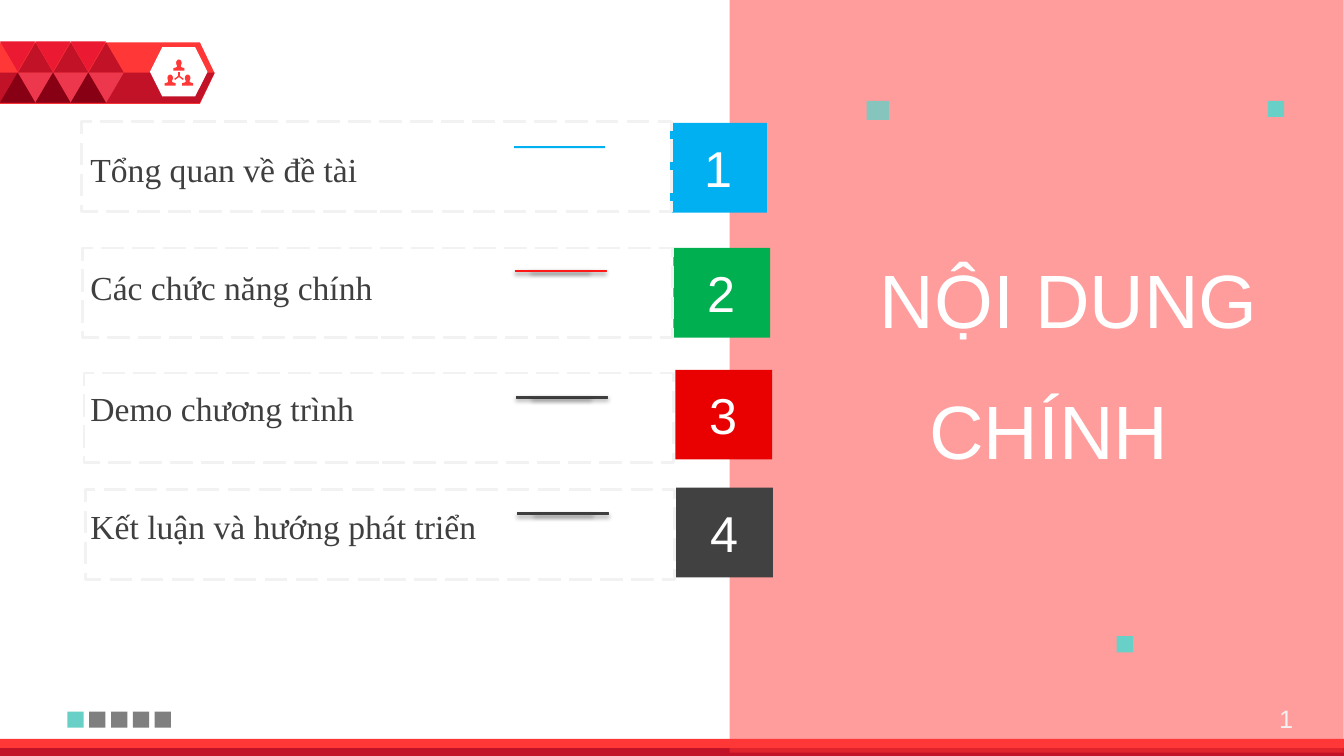
import lxml.etree
import pptx
import pptx.dml.color
import pptx.enum.dml
import pptx.enum.shapes
import pptx.enum.text
import pptx.oxml.ns
import pptx.util

Cm, Pt = pptx.util.Cm, pptx.util.Pt
qn = pptx.oxml.ns.qn
Kind = pptx.enum.shapes.MSO_SHAPE
Align = pptx.enum.text.PP_ALIGN
Anchor = pptx.enum.text.MSO_ANCHOR

RED, DARK_RED, TEAL, WHITE = "FF3737", "C21227", "68D0C6", "FFFFFF"
WIDTH, HEIGHT = 33.87, 19.05

# number, label, tile colour, rule colour, tile left, tile top, frame top, label top, rule middle
ROWS = [
    ("1", "Tổng quan về đề tài", "00B0F0", "00B0F0", 16.89, 3.1, 3.07, 3.63, 3.71),
    ("2", "Các chức năng chính", "00B050", "FF1818", 16.97, 6.25, 6.25, 6.6, 6.83),
    ("3", "Demo chương trình", "E90000", "3F3F3F", 17.02, 9.32, 9.4, 9.65, 10.01),
    ("4", "Kết luận và hướng phát triển", "414141", "3F3F3F", 17.04, 12.29, 12.34, 12.62, 12.95),
]


def colour(code):
    return pptx.dml.color.RGBColor.from_string(code)


def paint(shape, code, opacity=100):
    """Flat fill without outline or shadow."""
    shape.shadow.inherit = False
    shape.line.fill.background()
    shape.fill.solid()
    shape.fill.fore_color.rgb = colour(code)
    if opacity < 100:
        tint = shape.element.spPr.find(".//" + qn("a:srgbClr"))
        lxml.etree.SubElement(tint, qn("a:alpha"), val=str(opacity * 1000))
    return shape


def add_block(page, left, top, width, height, code, kind=Kind.RECTANGLE, opacity=100):
    shape = page.shapes.add_shape(kind, Cm(left), Cm(top), Cm(width), Cm(height))
    return paint(shape, code, opacity)


def add_polygon(page, points, code):
    corners = [(Cm(x), Cm(y)) for x, y in points]
    builder = page.shapes.build_freeform(*corners[0])
    builder.add_line_segments(corners[1:], close=True)
    return paint(builder.convert_to_shape(), code)


def format_span(span, size, font, code):
    span.font.size = Pt(size)
    span.font.name = font
    span.font.color.rgb = colour(code)


def add_text(page, text, left, top, width, height, size, font, code):
    box = page.shapes.add_textbox(Cm(left), Cm(top), Cm(width), Cm(height))
    box.text_frame.word_wrap = True
    box.text_frame.text = text
    format_span(box.text_frame.paragraphs[0].runs[0], size, font, code)


def add_slide_number(page):
    box = page.shapes.add_textbox(Cm(31.34), Cm(17.6), Cm(1.5), Cm(1.02))
    box.text_frame.word_wrap = True
    para = box.text_frame.paragraphs[0]
    para.text = "1"
    format_span(para.runs[0], 18, "Arial", "F2F2F2")
    para.alignment = Align.RIGHT
    field = para.runs[0]._r
    field.tag = qn("a:fld")
    field.set("id", "{B6F15528-21DE-4FAA-801E-634DDDAF4B2B}")
    field.set("type", "slidenum")


def add_person(page, middle, top):
    add_block(page, middle - 0.07, top, 0.14, 0.17, RED, Kind.OVAL)
    outline = [(-0.05, 0.13), (0.05, 0.13), (0.05, 0.19), (0.14, 0.22),
               (0.14, 0.28), (-0.14, 0.28), (-0.14, 0.22), (-0.05, 0.19)]
    add_polygon(page, [(middle + x, top + y) for x, y in outline], RED)


def add_link(page, x1, y1, x2, y2):
    link = page.shapes.add_connector(
        pptx.enum.shapes.MSO_CONNECTOR.STRAIGHT, Cm(x1), Cm(y1), Cm(x2), Cm(y2))
    link.line.width = Pt(1)
    link.line.color.rgb = colour(RED)
    lxml.etree.SubElement(link.element.spPr, qn("a:effectLst"))


def add_banner(page):
    plate = add_block(page, 0, 1.07, 5.41, 1.55, RED, Kind.PENTAGON)
    plate.adjustments[0] = 0.24
    add_polygon(page, [(0, 1.83), (5.41, 1.83), (5.03, 2.6), (0, 2.6)], DARK_RED)
    add_block(page, 3.78, 1.19, 1.45, 1.24, WHITE, Kind.HEXAGON)
    for middle, top in [(4.51, 1.5), (4.29, 1.88), (4.73, 1.88)]:
        add_person(page, middle, top)
    for x, y in [(4.51, 1.81), (4.4, 2), (4.62, 2)]:
        add_link(page, 4.51, 1.92, x, y)
    # offset, top, colour, rotation
    triangles = [(0, 1.04, "EB1932", 180), (0.45, 1.07, DARK_RED, 0),
                 (0.45, 1.83, "ED374D", 180), (0, 1.83, "880014", 0)]
    for column in range(3):
        for offset, top, code, rotation in triangles:
            triangle = add_block(page, offset + 0.89 * column, top, 0.89, 0.76,
                                 code, Kind.ISOSCELES_TRIANGLE)
            triangle.rotation = rotation


def place_title(page, panel):
    """Two staggered lines, brought in front of the panel."""
    title = page.shapes.title
    panel.element.addnext(title.element)
    title.left, title.top, title.width, title.height = Cm(21.92), Cm(6.25), Cm(10.4), Cm(5.77)
    frame = title.text_frame
    frame.text = "NỘI DUNG\nCHÍNH"
    frame.word_wrap = True
    frame.auto_size = pptx.enum.text.MSO_AUTO_SIZE.NONE
    frame.vertical_anchor = Anchor.TOP
    for para, indent, gap in zip(frame.paragraphs, (0, 1.24), (0, 28.6)):
        para.alignment = Align.LEFT
        para.line_spacing = 1.0
        para.space_before = Pt(gap)
        para._p.get_or_add_pPr().set("marL", str(Cm(indent)))
        format_span(para.runs[0], 54, "Arial", WHITE)


def add_rule(page, middle_x, middle_y, code, raised):
    """A long thin bar with a shorter one on it; raised bars have an outline and a shadow."""
    for length, thickness in [(2.29, 0.05), (1.47, 0.03)]:
        bar = add_block(page, middle_x - length / 2, middle_y - thickness / 2,
                        length, thickness, code)
        if raised:
            bar.line.color.rgb = colour(code)
            bar.line.width = Pt(0.75)
            effects = bar.element.spPr.find(qn("a:effectLst"))
            shadow = lxml.etree.SubElement(
                effects, qn("a:outerShdw"), blurRad=str(Pt(3.1)), dist=str(Pt(1.8)),
                dir="5400000", rotWithShape="0")
            tint = lxml.etree.SubElement(shadow, qn("a:srgbClr"), val="000000")
            lxml.etree.SubElement(tint, qn("a:alpha"), val="35000")


def add_frame(page, left, top):
    frame = add_block(page, left, top, 14.86, 2.26, WHITE)
    frame.fill.background()
    frame.line.color.rgb = colour("F2F2F2")
    frame.line.width = Pt(2)
    frame.line.dash_style = pptx.enum.dml.MSO_LINE.LONG_DASH


def add_tile(page, number, left, top, code):
    tile = add_block(page, left, top, 2.44, 2.26, code)
    tile.text_frame.text = number
    tile.text_frame.vertical_anchor = Anchor.MIDDLE
    para = tile.text_frame.paragraphs[0]
    para.alignment = Align.CENTER
    format_span(para.runs[0], 36, "Arial", WHITE)


def main():
    deck = pptx.Presentation()
    deck.slide_width, deck.slide_height = Cm(WIDTH), Cm(HEIGHT)
    page = deck.slides.add_slide(deck.slide_layouts[5])

    add_banner(page)
    add_block(page, 0, 18.62, WIDTH, 0.41, RED)
    add_block(page, 0, 18.85, WIDTH, 0.2, DARK_RED)
    panel = add_block(page, 18.39, -0.08, 15.47, HEIGHT, RED, opacity=49)
    place_title(page, panel)

    add_block(page, 21.84, 2.54, 0.56, 0.48, TEAL, opacity=80)
    for left, top in [(31.95, 2.54), (28.14, 16.03)]:
        add_block(page, left, top, 0.41, 0.41, TEAL)
    for step in range(5):
        add_block(page, 1.7 + 0.55 * step, 17.93, 0.41, 0.41, "7F7F7F" if step else TEAL)

    for index, row in enumerate(ROWS):
        number, label, tile_code, rule_code, tile_left, tile_top, frame_top, label_top, rule_y = row
        frame_left = 2.06 + 0.03 * index
        add_tile(page, number, tile_left, tile_top, tile_code)
        add_text(page, label, 2.03, label_top, 13.49, 1.27, 24, "Times New Roman", "3F3F3F")
        add_rule(page, frame_left + 12.04, rule_y, rule_code, raised=index > 0)
        add_frame(page, frame_left, frame_top)

    add_slide_number(page)
    deck.save("out.pptx")


if __name__ == "__main__":
    main()
